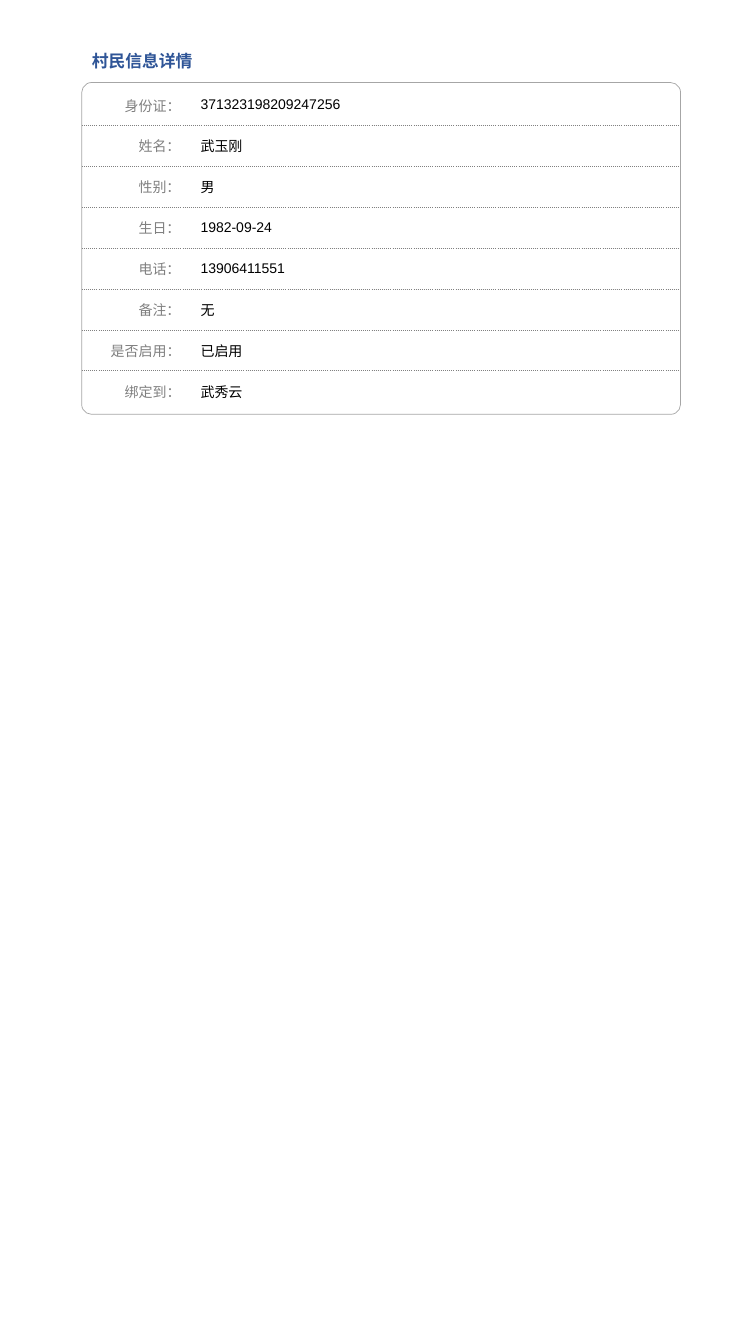
from dataclasses import dataclass

from lxml import etree
from pptx import Presentation
from pptx.dml.color import RGBColor
from pptx.enum.shapes import MSO_SHAPE
from pptx.enum.text import MSO_ANCHOR, MSO_AUTO_SIZE, PP_ALIGN
from pptx.oxml.ns import qn
from pptx.util import Cm, Pt

LEFT, RIGHT = PP_ALIGN.LEFT, PP_ALIGN.RIGHT
MIDDLE = MSO_ANCHOR.MIDDLE
NO_AUTOFIT = MSO_AUTO_SIZE.NONE
ROUNDED = MSO_SHAPE.ROUNDED_RECTANGLE
TITLE_ONLY = 5


@dataclass(frozen=True)
class Theme:
    heading: str = "2F5597"
    label: str = "808080"
    value: str = "000000"
    separator: str = "808080"
    frame: str = "A6A6A6"
    heading_font: str = "Calibri"
    body_font: str = "Arial"
    heading_size: int = 12
    body_size: int = 10
    line_width: float = 0.5


THEME = Theme()

# Layout in centimetres
CARD_LEFT, CARD_WIDTH = 2.06, 15.09
LABEL_WIDTH = 2.74
ROW_HEIGHT = 1.03

VILLAGER = [
    ("身份证：", "371323198209247256"),
    ("姓名：", "武玉刚"),
    ("性别：", "男"),
    ("生日：", "1982-09-24"),
    ("电话：", "13906411551"),
    ("备注：", "无"),
    ("是否启用：", "已启用"),
    ("绑定到：", "武秀云"),
]


def set_format(target, values):
    for attribute, value in values.items():
        setattr(target, attribute, value)


def write_text(frame, text, font, size, color, align, bold=False):
    paragraph = frame.paragraphs[0]
    paragraph.alignment = align
    run = paragraph.add_run()
    run.text = text
    set_format(run.font, {"name": font, "size": Pt(size), "bold": bold})
    run.font.color.rgb = RGBColor.from_string(color)


def set_borders(cell, dotted_sides):
    """Dot the given sides of a cell and clear the others."""
    properties = cell._tc.get_or_add_tcPr()
    for position, side in enumerate("LRTB"):
        border = etree.Element(qn(f"a:ln{side}"), w=str(Pt(THEME.line_width)))
        if side in dotted_sides:
            fill = etree.SubElement(border, qn("a:solidFill"))
            etree.SubElement(fill, qn("a:srgbClr"), val=THEME.separator)
            etree.SubElement(border, qn("a:prstDash"), val="sysDot")
        else:
            etree.SubElement(border, qn("a:noFill"))
        properties.insert(position, border)


def add_heading(slide, text):
    heading = slide.shapes.title
    set_format(heading, {"left": Cm(CARD_LEFT), "top": Cm(1.14),
                         "width": Cm(3.07), "height": Cm(0.77)})
    set_format(heading.text_frame, {"word_wrap": False, "auto_size": NO_AUTOFIT,
                                    "vertical_anchor": MIDDLE})
    write_text(heading.text_frame, text, THEME.heading_font, THEME.heading_size,
               THEME.heading, LEFT, bold=True)


def add_details(slide, records):
    details = slide.shapes.add_table(
        len(records), 2, Cm(CARD_LEFT), Cm(2.13),
        Cm(CARD_WIDTH), Cm(ROW_HEIGHT * len(records))).table
    set_format(details, {"first_row": False, "horz_banding": False})
    details.columns[0].width = Cm(LABEL_WIDTH)
    details.columns[1].width = Cm(CARD_WIDTH - LABEL_WIDTH)
    column_styles = [(THEME.label, RIGHT), (THEME.value, LEFT)]

    for index, record in enumerate(records):
        details.rows[index].height = Cm(ROW_HEIGHT)
        # Separators run only between rows
        dotted_sides = ("T" if index > 0 else "") + (
            "B" if index < len(records) - 1 else "")
        for column, (text, (color, align)) in enumerate(zip(record, column_styles)):
            cell = details.cell(index, column)
            cell.vertical_anchor = MIDDLE
            cell.fill.background()
            set_borders(cell, dotted_sides)
            write_text(cell.text_frame, text, THEME.body_font, THEME.body_size,
                       color, align)


def add_card_frame(slide):
    card = slide.shapes.add_shape(ROUNDED, Cm(CARD_LEFT), Cm(2.08),
                                  Cm(CARD_WIDTH), Cm(8.36))
    card.adjustments[0] = 0.03
    card.shadow.inherit = False
    card.fill.background()
    card.line.color.rgb = RGBColor.from_string(THEME.frame)
    card.line.width = Pt(THEME.line_width)


def main():
    presentation = Presentation()
    set_format(presentation, {"slide_width": Cm(19.05), "slide_height": Cm(33.86)})
    slide = presentation.slides.add_slide(presentation.slide_layouts[TITLE_ONLY])

    # Heading, detail rows, then the outline around them
    add_heading(slide, "村民信息详情")
    add_details(slide, VILLAGER)
    add_card_frame(slide)
    presentation.save("out.pptx")


main()
